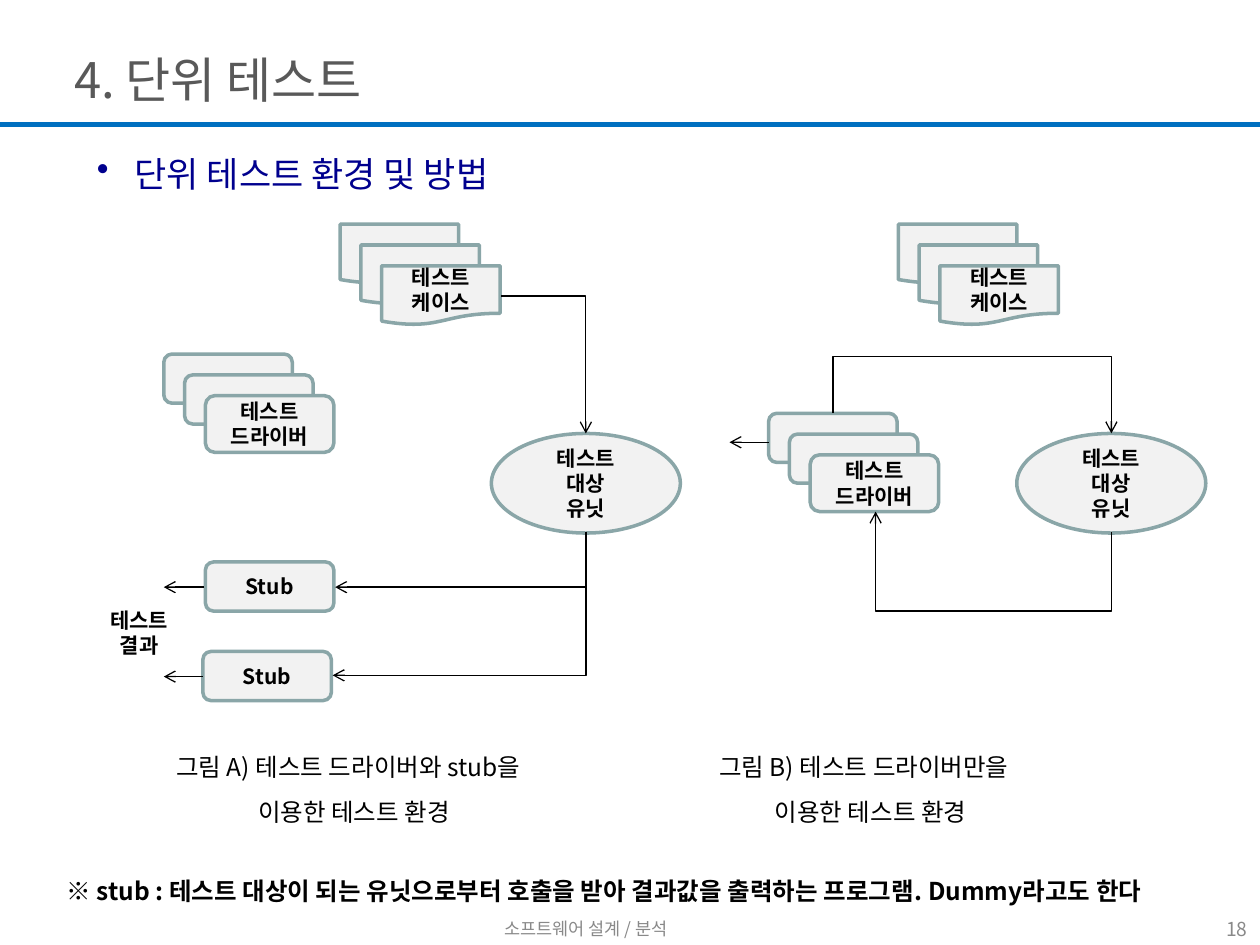
import pptx
import pptx.util
import pptx.dml.color
import pptx.enum.shapes
import pptx.enum.text
import pptx.oxml
import pptx.oxml.ns
import lxml.etree

Inches, Pt = pptx.util.Inches, pptx.util.Pt
RGBColor = pptx.dml.color.RGBColor
SHAPE = pptx.enum.shapes.MSO_SHAPE
CONNECTOR = pptx.enum.shapes.MSO_CONNECTOR
ALIGN = pptx.enum.text.PP_ALIGN
ANCHOR = pptx.enum.text.MSO_ANCHOR
qn = pptx.oxml.ns.qn

FONT = "Noto Sans CJK KR"
BLACK = RGBColor(0, 0, 0)
TITLE_GRAY = RGBColor(0x59, 0x59, 0x59)
FOOTER_GRAY = RGBColor(0x89, 0x89, 0x89)
NAVY = RGBColor(0, 0, 0x8E)
RULE_BLUE = RGBColor(0, 0x70, 0xC0)
NODE_FILL = RGBColor(0xF2, 0xF2, 0xF2)
NODE_LINE = RGBColor(0x8A, 0xA6, 0xA8)

# Content
CASE, DRIVER = ["테스트", "케이스"], ["테스트", "드라이버"]
UNIT = ["테스트", "대상", "유닛"]
STEP = 0.165  # offset between stacked cards
# preset, left, top, width, back height, front height, cards, lines
NODES = [
    (SHAPE.FLOWCHART_DOCUMENT, 2.7, 1.78, 0.94, 0.47, 0.47, 3, CASE),
    (SHAPE.ROUNDED_RECTANGLE, 1.3, 2.81, 1.02, 0.39, 0.45, 3, DRIVER),
    (SHAPE.ROUNDED_RECTANGLE, 1.63, 4.46, 1.02, 0.39, 0.39, 1, ["Stub"]),
    (SHAPE.ROUNDED_RECTANGLE, 1.61, 5.17, 1.02, 0.39, 0.39, 1, ["Stub"]),
    (SHAPE.OVAL, 3.9, 3.44, 1.5, 0.79, 0.79, 1, UNIT),
    (SHAPE.FLOWCHART_DOCUMENT, 7.13, 1.78, 0.94, 0.47, 0.47, 3, CASE),
    (SHAPE.ROUNDED_RECTANGLE, 6.1, 3.28, 1.02, 0.39, 0.45, 3, DRIVER),
    (SHAPE.OVAL, 8.07, 3.44, 1.5, 0.79, 0.79, 1, UNIT),
]
ARROWS = [((1.62, 4.66), (1.3, 4.66)), ((1.61, 5.37), (1.3, 5.37)),
          ((6.1, 3.51), (5.79, 3.51))]
# start, end, rotation, flipped, height of the middle run (None: one corner)
ELBOWS = [
    ((3.98, 2.35), (4.65, 3.44), 0, False, None),
    ((4.65, 4.22), (2.66, 4.66), 90, False, None),
    ((4.65, 4.22), (2.64, 5.36), 90, False, None),
    ((6.61, 3.28), (8.82, 3.44), 270, True, 2.83),
    ((8.82, 4.22), (6.95, 4.06), 90, True, 4.85),
]
# lines, left, top, width, height, size, colour, bold, alignment, wrap
TEXTS = [
    (["4. 단위 테스트"], 0.49, 0.25, 8.5, 0.75, 28, TITLE_GRAY, False, ALIGN.LEFT, True),
    (["테스트", "결과"], 0.75, 4.77, 0.71, 0.5, 12, BLACK, True, ALIGN.CENTER, False),
    (["※ stub : 테스트 대상이 되는 유닛으로부터 호출을 받아 결과값을 출력하는 "
      "프로그램. Dummy라고도 한다"],
     0.43, 6.9, 9.38, 0.34, 14, BLACK, True, ALIGN.LEFT, False),
    (["소프트웨어 설계 / 분석"], 3.15, 7.2, 3, 0.34, 10, FOOTER_GRAY, False, ALIGN.CENTER, True),
    (["18"], 9, 7.2, 1, 0.34, 11, FOOTER_GRAY, False, ALIGN.RIGHT, True),
]
# caption line and its tab stops
CAPTIONS = [
    ("그림 A) 테스트 드라이버와 stub을\t그림 B) 테스트 드라이버만을", [4.31]),
    ("\t이용한 테스트 환경\t이용한 테스트 환경", [0.65, 4.75]),
]

deck = pptx.Presentation()
deck.slide_width, deck.slide_height = Inches(10), Inches(7.5)
page = deck.slides.add_slide(deck.slide_layouts[6])


def write(shape, lines, size, color, bold=False, align=ALIGN.LEFT):
    frame = shape.text_frame
    frame.text = "\n".join(lines)
    frame.vertical_anchor = ANCHOR.MIDDLE
    for para in frame.paragraphs:
        para.alignment = align
        for span in para.runs:
            span.font.size, span.font.bold = Pt(size), bold
            span.font.name, span.font.color.rgb = FONT, color
            east = lxml.etree.SubElement(span.font._element, qn("a:ea"))
            east.set("typeface", FONT)
    return frame.paragraphs


def add_text(lines, left, top, width, height, size, color, bold, align, wrap):
    box = page.shapes.add_textbox(*map(Inches, (left, top, width, height)))
    box.text_frame.word_wrap = wrap
    return write(box, lines, size, color, bold, align)


def add_line(start, end, color=BLACK, weight=0.75, arrow=True, kind=CONNECTOR.STRAIGHT):
    line = page.shapes.add_connector(kind, *map(Inches, (*start, *end)))
    line.line.color.rgb, line.line.width = color, Pt(weight)
    if arrow:
        lxml.etree.SubElement(line.line._ln, qn("a:tailEnd")).set("type", "arrow")
    lxml.etree.SubElement(line._element.spPr, qn("a:effectLst"))
    return line


def add_elbow(start, end, rotation, flipped, turn):
    (x0, y0), (x1, y1) = start, end
    line = add_line(start, end, kind=CONNECTOR.ELBOW)
    width, height = abs(x1 - x0), abs(y1 - y0)
    if rotation:
        width, height = height, width
    line.left, line.top = Inches((x0 + x1 - width) / 2), Inches((y0 + y1 - height) / 2)
    line.width, line.height = Inches(width), Inches(height)
    frame = line._element.spPr.find(qn("a:xfrm"))
    for name in ("flipH", "flipV"):
        frame.attrib.pop(name, None)
    frame.set("rot", str(rotation * 60000))
    if flipped:
        frame.set("flipH", "1")
    preset = line._element.spPr.find(qn("a:prstGeom"))
    if turn is None:
        preset.set("prst", "bentConnector2")
    else:
        guide = lxml.etree.SubElement(preset.find(qn("a:avLst")), qn("a:gd"))
        guide.set("name", "adj1")
        guide.set("fmla", f"val {round((turn - y0) / (y1 - y0) * 100000)}")


# Header rule and bullet
add_line((0, 0.99), (10, 0.99), RULE_BLUE, 3, arrow=False)
bullet = add_text(["단위 테스트 환경 및 방법"], 0.67, 1.1, 5.2, 0.55,
                  20, NAVY, False, ALIGN.LEFT, True)[0]
settings = bullet._p.get_or_add_pPr()
settings.set("marL", str(Inches(0.3)))
settings.set("indent", str(-Inches(0.3)))
lxml.etree.SubElement(settings, qn("a:buChar")).set("char", "•")

# Cards, stubs and units
for preset, left, top, width, back, front, cards, lines in NODES:
    for index in range(cards):
        is_front = index == cards - 1
        node = page.shapes.add_shape(preset, *map(Inches, (
            left + index * STEP, top + index * STEP, width, front if is_front else back)))
        node.shadow.inherit = False
        node.fill.solid()
        node.fill.fore_color.rgb = NODE_FILL
        node.line.color.rgb, node.line.width = NODE_LINE, Pt(2)
        if is_front:
            write(node, lines, 12, BLACK, True, ALIGN.CENTER)

# Arrows
for elbow in ELBOWS:
    add_elbow(*elbow)
for start, end in ARROWS:
    add_line(start, end)

# Texts and captions
for text in TEXTS:
    add_text(*text)
captions = add_text([line for line, stops in CAPTIONS], 1.3, 5.8, 8.03, 0.81,
                    14, BLACK, False, ALIGN.LEFT, True)
for para, (line, stops) in zip(captions, CAPTIONS):
    para.line_spacing = 1.5
    tabs = lxml.etree.SubElement(para._p.get_or_add_pPr(), qn("a:tabLst"))
    for stop in stops:
        tab = lxml.etree.SubElement(tabs, qn("a:tab"))
        tab.set("pos", str(Inches(stop)))
        tab.set("algn", "l")

deck.save("out.pptx")
